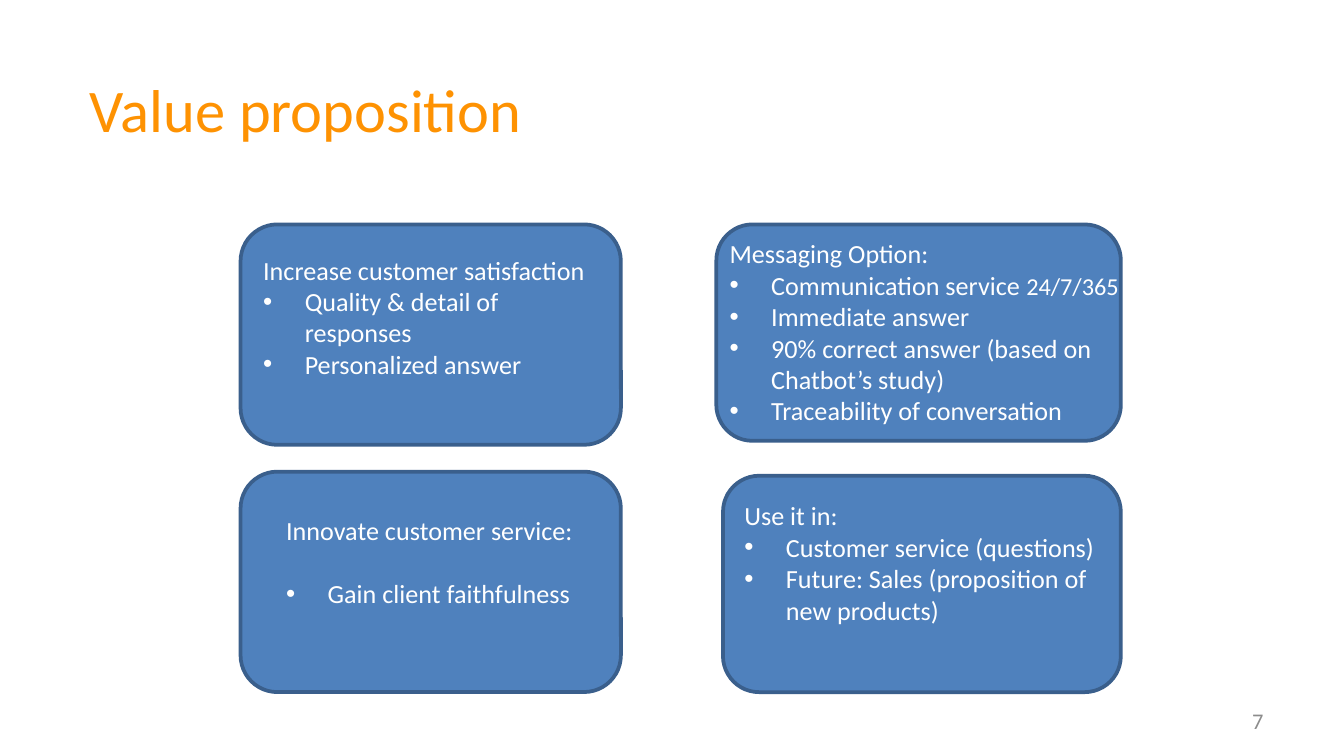
from lxml.etree import SubElement
from pptx import Presentation
from pptx.dml.color import RGBColor
from pptx.enum.shapes import MSO_SHAPE
from pptx.enum.text import MSO_ANCHOR, PP_ALIGN
from pptx.oxml.ns import qn
from pptx.util import Inches, Pt

COLORS = {"title": "FE9202", "card": "4F81BD", "border": "3A5F8C", "text": "FFFFFF", "number": "8C8C8C"}
CELL = Inches(0.1)
COLUMNS, ROWS = 100, 56.25
INDENT = Inches(0.31)

CARDS = [
    ((17.9, 16.7, 28.3, 16.4), (18.6, 18.4, 26.7, 20.5), 0, "Increase customer satisfaction",
     [["Quality & detail of responses"], ["Personalized answer"]]),
    ((53.3, 16.7, 30.1, 16.1), (53.3, 17.2, 34.1, 15.1), 0, "Messaging Option:",
     [["Communication service ", "24/7/365"], ["Immediate answer"],
      ["90% correct answer (based on Chatbot’s study)"], ["Traceability of conversation"]]),
    ((17.9, 35.1, 28.3, 16.4), (20.3, 37.8, 25.9, 15.1), 17, "Innovate customer service:",
     [["Gain client faithfulness"]]),
    ((53.8, 35.4, 29.6, 16.1), (54.4, 36.7, 28.3, 17.5), 0, "Use it in:",
     [["Customer service (questions)"], ["Future: Sales (proposition of new products)"]]),
]


class SlideBuilder:
    """Draws styled elements on a slide, placed on a grid of tenth-inch cells."""

    def __init__(self, presentation):
        presentation.slide_width = int(COLUMNS * CELL)
        presentation.slide_height = int(ROWS * CELL)
        self.slide = presentation.slides.add_slide(presentation.slide_layouts[6])
        self.font_name = "Calibri"

    def place(self, area):
        return [int(length * CELL) for length in area]

    def color(self, name):
        return RGBColor.from_string(COLORS[name])

    def style(self, paragraph, size, color):
        paragraph.font.name = self.font_name
        paragraph.font.size = Pt(size)
        paragraph.font.color.rgb = self.color(color)

    def text_frame(self, area, anchor=MSO_ANCHOR.TOP):
        frame = self.slide.shapes.add_textbox(*self.place(area)).text_frame
        frame.word_wrap = True
        frame.vertical_anchor = anchor
        return frame

    def label(self, area, text, size, color, alignment=PP_ALIGN.LEFT):
        paragraph = self.text_frame(area, MSO_ANCHOR.MIDDLE).paragraphs[0]
        paragraph.text = text
        paragraph.alignment = alignment
        self.style(paragraph, size, color)

    def card(self, area):
        shape = self.slide.shapes.add_shape(MSO_SHAPE.ROUNDED_RECTANGLE, *self.place(area))
        shape.shadow.inherit = False
        shape.fill.solid()
        shape.fill.fore_color.rgb = self.color("card")
        shape.line.color.rgb = self.color("border")
        shape.line.width = Pt(2)

    def bullet(self, paragraph):
        properties = paragraph._p.get_or_add_pPr()
        properties.set("marL", str(INDENT))
        properties.set("indent", str(-INDENT))
        SubElement(properties, qn("a:buFont"), typeface="Arial")
        SubElement(properties, qn("a:buChar"), char="•")

    def card_text(self, area, gap, heading, items):
        frame = self.text_frame(area)
        frame.paragraphs[0].text = heading
        self.style(frame.paragraphs[0], 14, "text")
        for index, (text, *small_texts) in enumerate(items):
            paragraph = frame.add_paragraph()
            self.bullet(paragraph)
            if gap and index == 0:
                paragraph.space_before = Pt(gap)
            self.style(paragraph, 14, "text")
            paragraph.add_run().text = text
            for small_text in small_texts:
                run = paragraph.add_run()
                run.text = small_text
                run.font.size = Pt(13)


def main():
    presentation = Presentation()
    builder = SlideBuilder(presentation)
    builder.label((5.7, 4.7, 88.5, 6.7), "Value proposition", 32.4, "title")
    for card_area, text_area, gap, heading, items in CARDS:
        builder.card(card_area)
        builder.card_text(text_area, gap, heading, items)
    builder.label((71.7, 52.1, 23.3, 3), "7", 12, "number", PP_ALIGN.RIGHT)
    presentation.save("out.pptx")


if __name__ == "__main__":
    main()
